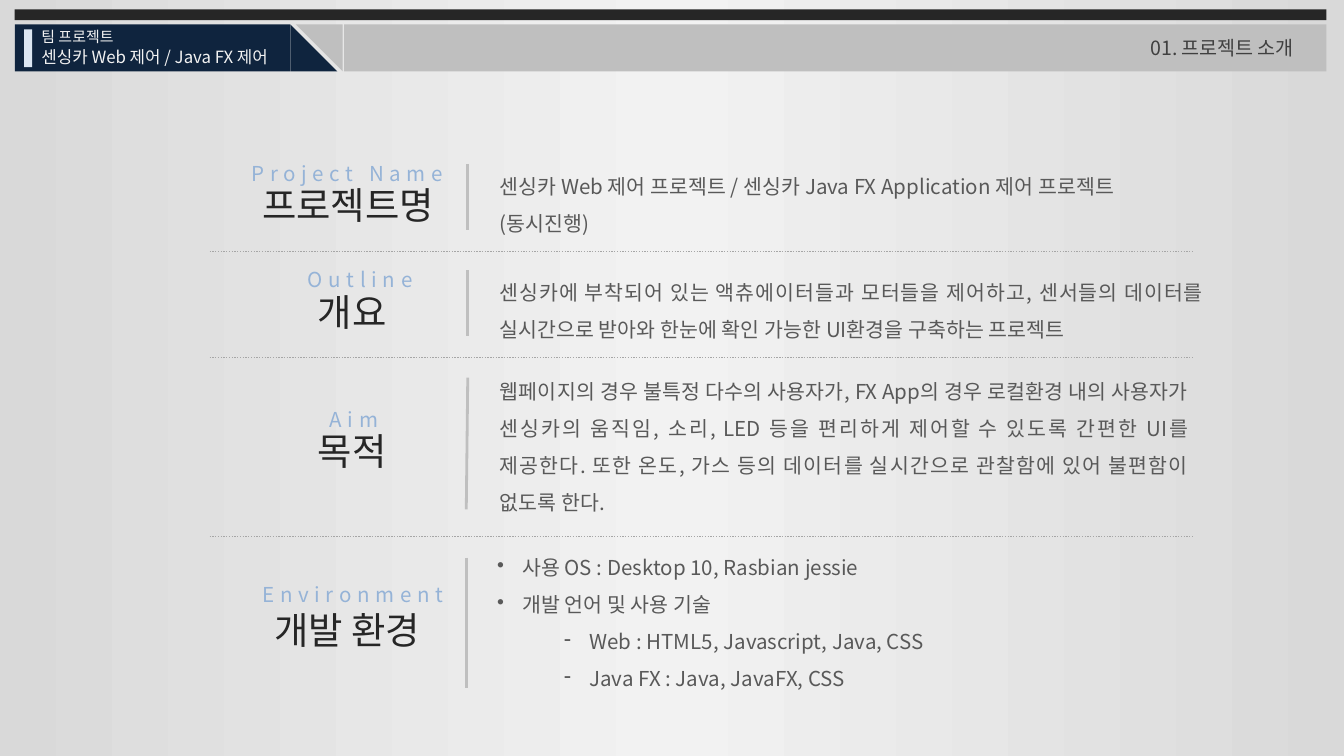
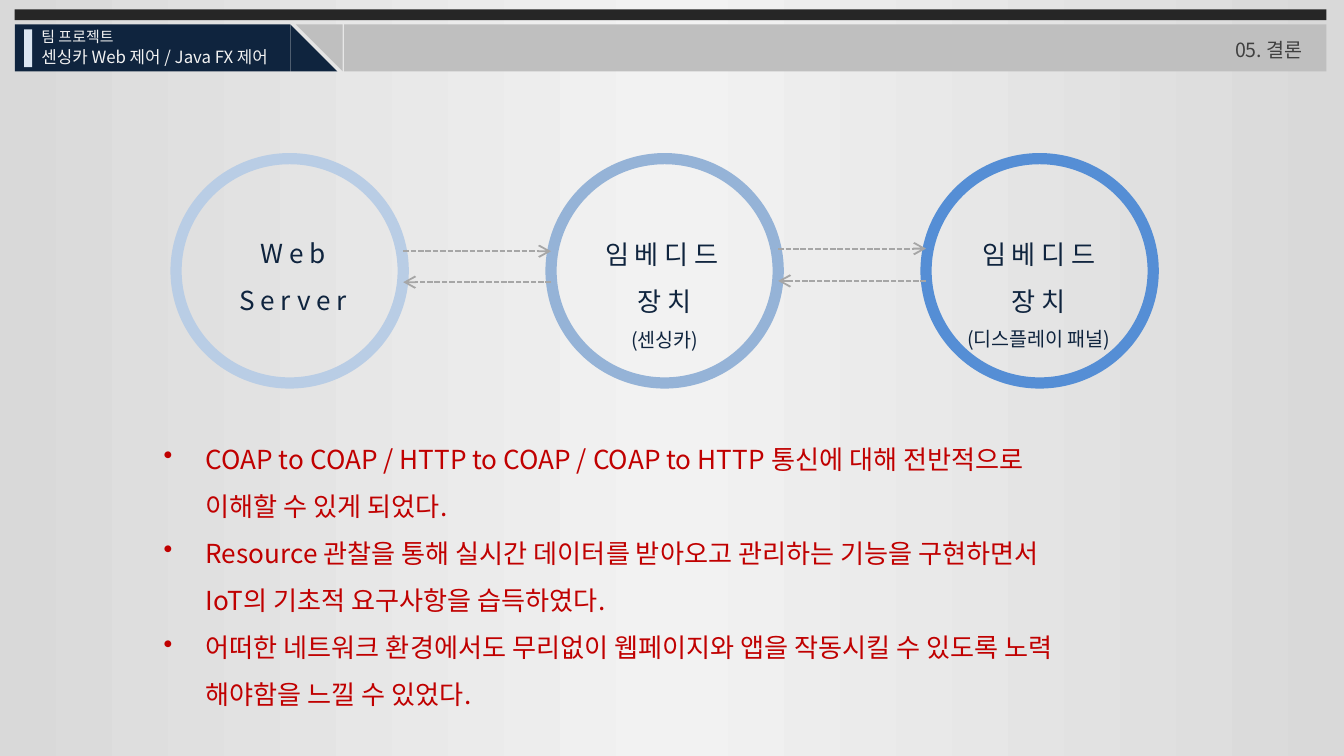
from copy import deepcopy
from dataclasses import dataclass

from lxml import etree
from pptx import Presentation
from pptx.dml.color import RGBColor
from pptx.enum.dml import MSO_LINE
from pptx.enum.shapes import MSO_CONNECTOR, MSO_SHAPE
from pptx.enum.text import MSO_ANCHOR, MSO_AUTO_SIZE, PP_ALIGN
from pptx.oxml.ns import qn
from pptx.util import Pt

RECTANGLE = MSO_SHAPE.RECTANGLE
TRIANGLE = MSO_SHAPE.RIGHT_TRIANGLE
ELLIPSE = MSO_SHAPE.OVAL
STRAIGHT = MSO_CONNECTOR.STRAIGHT
DOTTED = MSO_LINE.ROUND_DOT
DASHED = MSO_LINE.SQUARE_DOT
LEFT, CENTER, JUSTIFY = PP_ALIGN.LEFT, PP_ALIGN.CENTER, PP_ALIGN.JUSTIFY
TITLE_ONLY = 5


@dataclass(frozen=True)
class Theme:
    font: str = "Noto Sans CJK KR"
    edge: str = "D9D9D9"
    middle: str = "F2F2F2"
    black: str = "262626"
    navy: str = "0F243E"
    band: str = "BFBFBF"
    marker: str = "DCE6F2"
    light: str = "F2F2F2"
    heading: str = "404040"
    caption: str = "95B3D7"
    body: str = "595959"
    dotted: str = "A6A6A6"
    red: str = "C00000"
    tiny: float = 8
    small: float = 9
    note: float = 10.5
    text: float = 11
    large: float = 14
    label: float = 20


THEME = Theme()

HEADER_SHAPES = [
    (RECTANGLE, (7.9, 5, 702.7, 5.8), THEME.black, 0),
    (RECTANGLE, (7.9, 13, 147.6, 25.2), THEME.navy, 0),
    (TRIANGLE, (155.5, 13, 25.2, 25.2), THEME.navy, 0),
    (RECTANGLE, (184.3, 13, 526.3, 25.2), THEME.band, 0),
    (TRIANGLE, (158.4, 13, 25.2, 25.2), THEME.band, 180),
    (RECTANGLE, (13, 15.8, 4.3, 20.2), THEME.marker, 0),
]
HEADER_TEXTS = [
    ("팀 프로젝트", (15.1, 11.5, 108, 17.3), THEME.tiny),
    ("센싱카 Web 제어 / Java FX 제어", (15.1, 21.6, 151.9, 18), THEME.small),
]

INTRO_TITLE = ("01. 프로젝트 소개", (609.1, 15.8, 118.8, 20.2))
INTRO_ROWS = [
    {
        "caption": ("Project Name", (82.1, 82.8, 208.1, 20.9)),
        "label": ("프로젝트명", (128.2, 94.3, 116.6, 31.7)),
        "body": (["센싱카 Web 제어 프로젝트 / 센싱카 Java FX Application 제어 프로젝트",
                  "(동시진행)"], (260.6, 82.8, 374.4, 44.6)),
        "bar": (250.6, 87.8, 250.6, 123.1),
    },
    {
        "caption": ("Outline", (150.5, 139.7, 85, 20.9)),
        "label": ("개요", (130.3, 151.2, 116.6, 31.7)),
        "body": (["센싱카에 부착되어 있는 액츄에이터들과 모터들을 제어하고, 센서들의 데이터를 "
                  "실시간으로 받아와 한눈에 확인 가능한 UI환경을 구축하는 프로젝트"],
                 (260.6, 139.7, 391, 47.5)),
        "bar": (250.6, 144.7, 250.6, 180),
    },
    {
        "caption": ("Aim", (155.5, 214.6, 68.4, 20.9)),
        "label": ("목적", (130.3, 226.1, 116.6, 31.7)),
        "body": (["웹페이지의 경우 불특정 다수의 사용자가, FX App의 경우 로컬환경 내의 "
                  "사용자가 센싱카의 움직임, 소리, LED 등을 편리하게 제어할 수 있도록 간편한 "
                  "UI를 제공한다. 또한 온도, 가스 등의 데이터를 실시간으로 관찰함에 있어 "
                  "불편함이 없도록 한다."], (260.6, 193, 383, 87.1)),
        "bar": (250.6, 202.3, 249.8, 272.9),
    },
    {
        "caption": ("Environment", (131.8, 308.2, 114.5, 20.9)),
        "label": ("개발 환경", (105.1, 321.8, 162, 31.7)),
        "body": (["사용 OS : Desktop 10, Rasbian jessie",
                  "개발 언어 및 사용 기술",
                  "Web : HTML5, Javascript, Java, CSS",
                  "Java FX : Java, JavaFX, CSS"], (259.2, 287.3, 391, 87.1)),
        "bullets": [("•", 0, 13.5), ("•", 0, 13.5), ("-", 1, 49.5), ("-", 1, 49.5)],
        "bar": (249.8, 298.8, 249.8, 368.6),
    },
]
BULLET_HANG = 13.5
SEPARATORS = [134.6, 191.5, 287.3]
SEPARATOR_ENDS = (112.3, 638.6)

RESULT_TITLE = ("05. 결론", (654.5, 16.6, 74.2, 20.2))
CIRCLE = (94.3, 85, 121.7, 120.2)
CIRCLE_PITCH = 200.9
CIRCLE_COLORS = ["B9CDE5", "95B3D7", "558ED5"]
CIRCLE_LABELS = [
    (["Web", "Server"], (111.6, 115.2, 90.7, 58.3)),
    (["임베디드장치"], (312.5, 115.9, 87.1, 58.3)),
    (["임베디드", "장치"], (511.2, 115.9, 90.7, 58.3)),
]
CIRCLE_NOTES = [
    ("(센싱카)", (312.5, 172.1, 87.1, 20.9)),
    ("(디스플레이 패널)", (509, 171.4, 95, 20.2)),
]
ARROW_HEIGHTS = [(134.6, 151.2), (133.2, 150.5)]
FINDINGS = [
    "COAP to COAP / HTTP to COAP / COAP to HTTP 통신에 대해 전반적으로\n이해할 수 있게 되었다.",
    "Resource 관찰을 통해 실시간 데이터를 받아오고 관리하는 기능을 구현하면서\n"
    "IoT의 기초적 요구사항을 습득하였다.",
    "어떠한 네트워크 환경에서도 무리없이 웹페이지와 앱을 작동시킬 수 있도록 노력\n"
    "해야함을 느낄 수 있었다.",
]
FINDINGS_BOX = (80.6, 225.4, 580.3, 159.8)
FINDINGS_HANG = 22.5


def points(values):
    return [Pt(value) for value in values]


def color(code):
    return RGBColor.from_string(code)


def format_span(span, size, ink, spacing, outline):
    span.font.size = Pt(size)
    span.font.bold = False
    span.font.name = THEME.font
    span.font.fill.solid()
    span.font.fill.fore_color.rgb = color(ink)
    properties = span.font._element
    etree.SubElement(properties, qn("a:ea"), typeface=THEME.font)
    if spacing:
        properties.set("spc", str(spacing * 100))
    if outline:
        line = etree.Element(qn("a:ln"), w=str(Pt(0.75)))
        fill = etree.SubElement(line, qn("a:solidFill"))
        tint = etree.SubElement(fill, qn("a:srgbClr"), val=ink)
        etree.SubElement(tint, qn("a:alpha"), val=str(outline * 1000))
        properties.insert(0, line)


def write(page, texts, place, box=None, size=THEME.text, ink=THEME.body, align=LEFT,
          line_spacing=None, spacing=0, outline=10, wrap=True, bullets=(), hang=0):
    if box is None:
        box = page.shapes.add_textbox(*points(place))
    else:
        box.left, box.top, box.width, box.height = points(place)
    frame = box.text_frame
    frame.word_wrap = wrap
    frame.auto_size = MSO_AUTO_SIZE.SHAPE_TO_FIT_TEXT
    frame.vertical_anchor = MSO_ANCHOR.TOP
    for index, text in enumerate(texts):
        para = frame.add_paragraph() if index else frame.paragraphs[0]
        para.text = text
        para.alignment = align
        if line_spacing:
            para.line_spacing = line_spacing
        if bullets:
            mark, level, indent = bullets[index]
            para.level = level
            properties = para._p.get_or_add_pPr()
            properties.set("marL", str(Pt(indent)))
            properties.set("indent", str(-Pt(hang)))
            etree.SubElement(properties, qn("a:buChar"), char=mark)
        for span in para.runs:
            format_span(span, size, ink, spacing, outline)
        for line_break in para._p.findall(qn("a:br")):
            line_break.insert(0, deepcopy(para.runs[0].font._element))
    return box


def add_shape(page, kind, place, fill=None, line=None, rotation=0):
    shape = page.shapes.add_shape(kind, *points(place))
    shape.shadow.inherit = False
    shape.rotation = rotation
    if fill:
        shape.fill.solid()
        shape.fill.fore_color.rgb = color(fill)
    else:
        shape.fill.background()
    if line:
        shape.line.color.rgb = color(line)
        shape.line.width = Pt(6)
    else:
        shape.line.fill.background()


def add_line(page, ends, ink, width, dash=None, arrow=False):
    connector = page.shapes.add_connector(STRAIGHT, *points(ends))
    connector.line.color.rgb = color(ink)
    connector.line.width = Pt(width)
    if dash:
        connector.line.dash_style = dash
    if arrow:
        etree.SubElement(connector.line._get_or_add_ln(), qn("a:tailEnd"), type="arrow")
    etree.SubElement(connector._element.spPr, qn("a:effectLst"))


def paint_background(page):
    fill = page.background.fill
    fill.gradient()
    fill.gradient_angle = 0
    stops = page.element.find(".//" + qn("a:gsLst"))
    stops.insert(1, deepcopy(stops[0]))
    shades = [(0, THEME.edge), (0.5, THEME.middle), (1, THEME.edge)]
    for stop, (position, shade) in zip(fill.gradient_stops, shades):
        stop.position = position
        stop.color.rgb = color(shade)


def add_page(deck, title, place):
    page = deck.slides.add_slide(deck.slide_layouts[TITLE_ONLY])
    paint_background(page)
    for kind, area, fill, rotation in HEADER_SHAPES:
        add_shape(page, kind, area, fill=fill, rotation=rotation)
    for text, area, size in HEADER_TEXTS:
        write(page, [text], area, size=size, ink=THEME.light)
    heading = write(page, [title], place, box=page.shapes.title,
                    size=THEME.note, ink=THEME.heading)
    page.shapes._spTree.append(heading._element)
    return page


def build_intro(deck):
    page = add_page(deck, *INTRO_TITLE)
    for row in INTRO_ROWS:
        label, label_place = row["label"]
        caption, caption_place = row["caption"]
        write(page, [label], label_place, size=THEME.label, ink=THEME.black,
              align=CENTER, wrap=False)
        write(page, [caption], caption_place, ink=THEME.caption,
              align=CENTER, spacing=3, wrap=False)
        write(page, *row["body"], align=JUSTIFY, line_spacing=1.5,
              bullets=row.get("bullets", ()), hang=BULLET_HANG)
        add_line(page, row["bar"], THEME.band, 1.5)
    start, end = SEPARATOR_ENDS
    for height in SEPARATORS:
        add_line(page, (start, height, end, height), THEME.dotted, 0.75, dash=DOTTED)


def build_result(deck):
    page = add_page(deck, *RESULT_TITLE)
    left, top, width, height = CIRCLE
    for index, ring in enumerate(CIRCLE_COLORS):
        add_shape(page, ELLIPSE, (left + index * CIRCLE_PITCH, top, width, height), line=ring)
    for texts, place in CIRCLE_LABELS:
        write(page, texts, place, size=THEME.large, ink=THEME.navy, align=CENTER,
              line_spacing=1.5, spacing=3, outline=26)
    for index, (forward, back) in enumerate(ARROW_HEIGHTS):
        start = left + width + index * CIRCLE_PITCH
        end = left + (index + 1) * CIRCLE_PITCH
        for ends in ((start, forward, end, forward), (end, back, start, back)):
            add_line(page, ends, THEME.dotted, 1, dash=DASHED, arrow=True)
    write(page, FINDINGS, FINDINGS_BOX, size=THEME.large, ink=THEME.red, line_spacing=1.5,
          bullets=[("•", 0, FINDINGS_HANG)] * len(FINDINGS), hang=FINDINGS_HANG)
    for text, place in CIRCLE_NOTES:
        write(page, [text], place, size=THEME.note, ink=THEME.navy, align=CENTER, outline=0)


def main():
    deck = Presentation()
    deck.slide_width, deck.slide_height = Pt(720), Pt(405)
    build_intro(deck)
    build_result(deck)
    deck.save("out.pptx")


if __name__ == "__main__":
    main()
